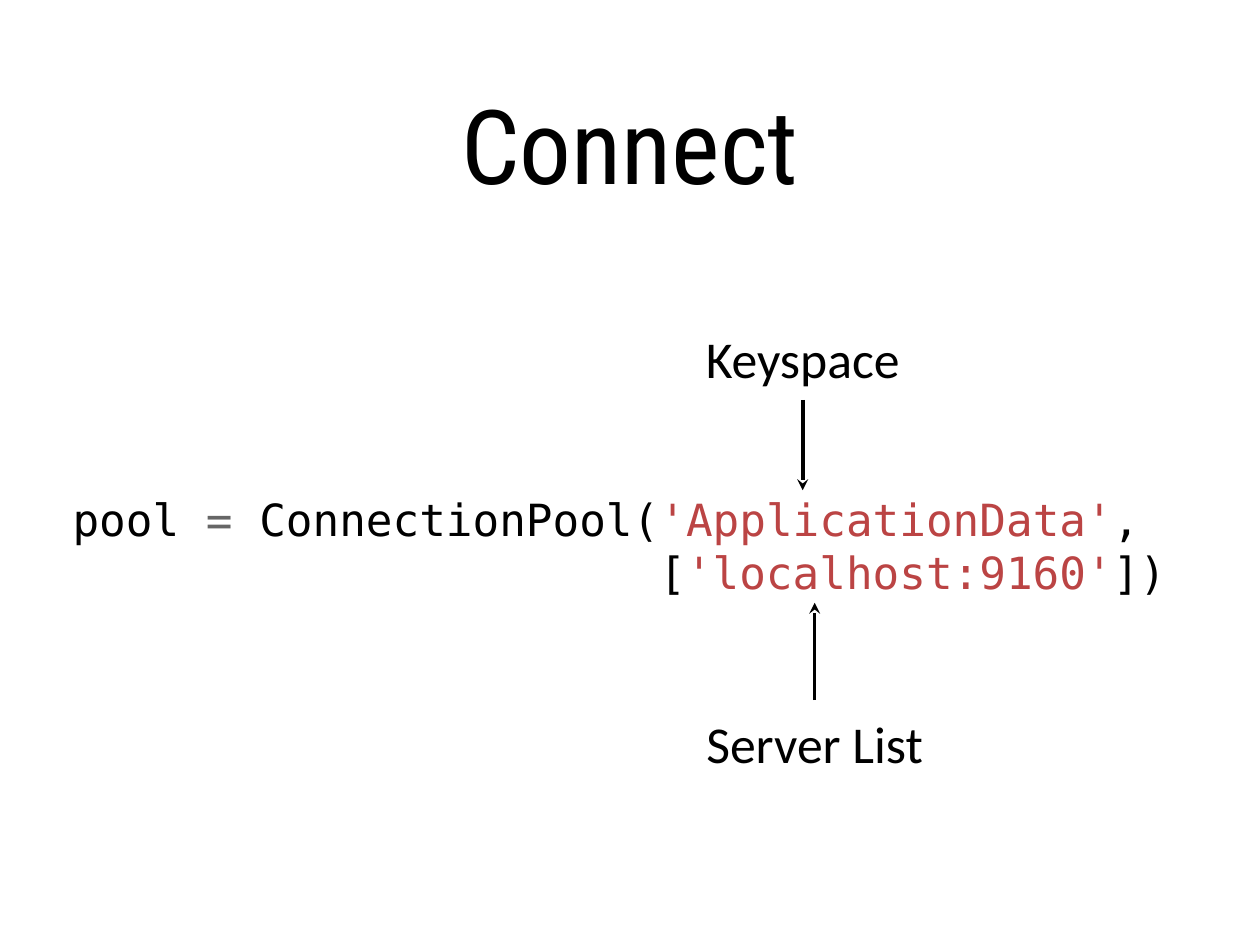
from dataclasses import dataclass

from lxml.etree import SubElement
from pptx import Presentation
from pptx.dml.color import RGBColor
from pptx.enum.shapes import MSO_CONNECTOR
from pptx.enum.text import MSO_ANCHOR, PP_ALIGN
from pptx.oxml.ns import qn
from pptx.util import Pt


@dataclass(frozen=True)
class Theme:
    ink: str = "000000"
    operator: str = "666666"
    string: str = "BB4444"
    title_font: str = "Roboto Condensed"
    code_font: str = "DejaVu Sans Mono"
    label_font: str = "Calibri"
    title_size: float = 84
    code_size: float = 36
    label_size: float = 42
    arrow_width: float = 3


THEME = Theme()

# Content
TITLE = "Connect"
CALL = [("pool ", THEME.ink), ("=", THEME.operator), (" ConnectionPool(", THEME.ink)]
# Each line of code: whether it hangs under the first argument, and its runs
CODE = [
    (False, CALL + [("'ApplicationData'", THEME.string), (",", THEME.ink)]),
    (True, [("[", THEME.ink), ("'localhost:9160'", THEME.string), ("])", THEME.ink)]),
]
# Each label: text, centre x, top, width, arrow tail y, arrow tip y
LABELS = [
    ("Keyspace", 652.3, 265.5, 184, 325, 398.3),
    ("Server List", 662, 578.6, 206, 569, 489.8),
]

# Layout: a 1024 by 768 page, less an eighth of a point each way
PAGE_TRIM = 1 / 8
SLIDE_WIDTH, SLIDE_HEIGHT = 1024 - PAGE_TRIM, 768 - PAGE_TRIM
TITLE_BOX = (100, 20, 824, 192)
CODE_BOX = (59, 218.2, 900, 450)
LABEL_HEIGHT = 50.4
CHARACTER_WIDTH = 0.602 * THEME.code_size
HANGING_INDENT = CHARACTER_WIDTH * sum(len(text) for text, _ in CALL)


def add_text(slide, box, lines, font, size, align=PP_ALIGN.CENTER, wrap=True):
    shape = slide.shapes.add_textbox(*map(Pt, box))
    frame = shape.text_frame
    frame.word_wrap = wrap
    frame.vertical_anchor = MSO_ANCHOR.MIDDLE
    frame.margin_left = frame.margin_right = frame.margin_top = frame.margin_bottom = 0
    for index, (hanging, runs) in enumerate(lines):
        paragraph = frame.paragraphs[0] if index == 0 else frame.add_paragraph()
        paragraph.alignment = align
        if hanging:
            properties = paragraph._p.get_or_add_pPr()
            properties.set("marL", str(Pt(HANGING_INDENT)))
            properties.set("indent", "0")
        for text, color in runs:
            run = paragraph.add_run()
            run.text = text
            run.font.name = font
            run.font.size = Pt(size)
            run.font.color.rgb = RGBColor.from_string(color)


def add_arrow(slide, x, tail, tip):
    connector = slide.shapes.add_connector(
        MSO_CONNECTOR.STRAIGHT, Pt(x), Pt(tail), Pt(x), Pt(tip))
    connector.line.color.rgb = RGBColor.from_string(THEME.ink)
    connector.line.width = Pt(THEME.arrow_width)
    SubElement(connector.line._get_or_add_ln(), qn("a:tailEnd"), type="stealth")
    SubElement(connector._element.spPr, qn("a:effectLst"))


def main():
    presentation = Presentation()
    presentation.slide_width = Pt(SLIDE_WIDTH)
    presentation.slide_height = Pt(SLIDE_HEIGHT)
    slide = presentation.slides.add_slide(presentation.slide_layouts[6])

    # Title and code
    add_text(slide, TITLE_BOX, [(False, [(TITLE, THEME.ink)])],
             THEME.title_font, THEME.title_size)
    add_text(slide, CODE_BOX, CODE, THEME.code_font, THEME.code_size, PP_ALIGN.LEFT)

    # Labels with arrows to the arguments
    for text, center, top, width, tail, tip in LABELS:
        box = (center - width / 2, top, width, LABEL_HEIGHT)
        add_text(slide, box, [(False, [(text, THEME.ink)])],
                 THEME.label_font, THEME.label_size, wrap=False)
        add_arrow(slide, center, tail, tip)

    presentation.save("out.pptx")


if __name__ == "__main__":
    main()
